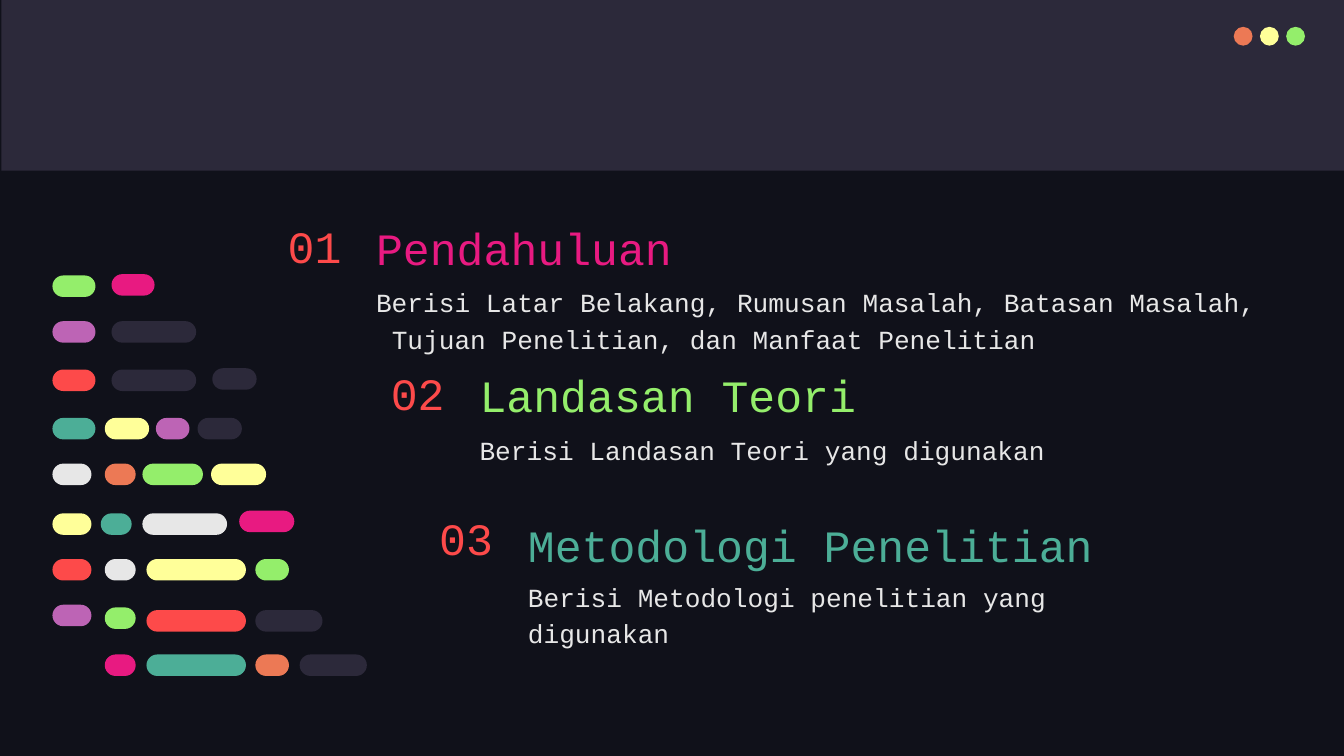
from pptx import Presentation
from pptx.dml.color import RGBColor
from pptx.enum.shapes import MSO_SHAPE
from pptx.enum.text import MSO_ANCHOR, MSO_AUTO_SIZE, PP_ALIGN
from pptx.util import Inches, Pt

HUES = {
    "night": "10111A", "slate": "2C293A", "white": "E7E7E7",
    "orange": "EC7955", "yellow": "FFFF99", "green": "94EE6B",
    "pink": "E81A81", "purple": "BD64B5", "red": "FD4A4A", "teal": "4CAE97",
}

BARS = [
    [(3.9, 20.5, 3.2, "green"), (8.3, 20.4, 3.2, "pink")],
    [(3.9, 23.9, 3.2, "purple"), (8.3, 23.9, 6.3, "slate")],
    [(3.9, 27.5, 3.2, "red"), (8.3, 27.5, 6.3, "slate"),
     (15.8, 27.4, 3.3, "slate")],
    [(3.9, 31.1, 3.2, "teal"), (7.8, 31.1, 3.3, "yellow"),
     (11.6, 31.1, 2.5, "purple"), (14.7, 31.1, 3.3, "slate")],
    [(3.9, 34.5, 2.9, "white"), (7.8, 34.5, 2.3, "orange"),
     (10.6, 34.5, 4.5, "green"), (15.7, 34.5, 4.1, "yellow")],
    [(3.9, 38.2, 2.9, "yellow"), (7.5, 38.2, 2.3, "teal"),
     (10.6, 38.2, 6.3, "white"), (17.8, 38, 4.1, "pink")],
    [(3.9, 41.6, 2.9, "red"), (7.8, 41.6, 2.3, "white"),
     (10.9, 41.6, 7.4, "yellow"), (19, 41.6, 2.5, "green")],
    [(3.9, 45, 2.9, "purple"), (7.8, 45.2, 2.3, "green"),
     (10.9, 45.4, 7.4, "red"), (19, 45.4, 5, "slate")],
    [(7.8, 48.7, 2.3, "pink"), (10.9, 48.7, 7.4, "teal"),
     (19, 48.7, 2.5, "orange"), (22.3, 48.7, 5, "slate")],
]

PARTS = [
    ("01", "Pendahuluan",
     "Berisi Latar Belakang, Rumusan Masalah, Batasan Masalah, "
     "Tujuan Penelitian, dan Manfaat Penelitian",
     27, 16.1, 4.3, 20, 68.4, "pink", 1.17),
    ("02", "Landasan Teori", "Berisi Landasan Teori yang digunakan",
     34.7, 27.1, 4.3, 31, 46, "green", 0),
    ("03", "Metodologi Penelitian",
     "Berisi Metodologi penelitian yang digunakan",
     38.3, 38.2, 3.6, 41.9, 46, "teal", 0),
]


def grid(*cells):
    return [Inches(cell / 10) for cell in cells]


class Deck:
    font = "Courier New"

    def __init__(self):
        self.file = Presentation()
        self.file.slide_width, self.file.slide_height = grid(100, 56.25)
        self.slide = self.file.slides.add_slide(self.file.slide_layouts[5])
        self.paint(self.slide.background.fill, "night")

    def paint(self, fill, hue):
        fill.solid()
        fill.fore_color.rgb = RGBColor.from_string(HUES[hue])

    def group(self):
        return self.slide.shapes.add_group_shape()

    def block(self, home, form, box, hue):
        shape = home.shapes.add_shape(form, *grid(*box))
        shape.shadow.inherit = False
        self.paint(shape.fill, hue)
        shape.line.fill.background()
        return shape

    def pill(self, home, x, y, wide, hue):
        shape = self.block(home, MSO_SHAPE.ROUNDED_RECTANGLE,
                           (x, y, wide, 1.6), hue)
        shape.adjustments[0] = 0.5

    def text(self, words, box, size, hue, anchor, lead=1.15, hang=0,
             shape=None):
        shape = shape or self.slide.shapes.add_textbox(*grid(*box))
        shape.left, shape.top, shape.width, shape.height = grid(*box)
        frame = shape.text_frame
        frame.text = words
        frame.word_wrap = True
        frame.auto_size = MSO_AUTO_SIZE.NONE
        frame.vertical_anchor = anchor
        frame.margin_left = frame.margin_right = Inches(0.1)
        frame.margin_top = frame.margin_bottom = Inches(0.1)
        line = frame.paragraphs[0]
        line.alignment = PP_ALIGN.LEFT
        line.line_spacing = lead
        if hang:
            inset = grid(hang)[0]
            props = line._p.get_or_add_pPr()
            props.set("marL", str(inset))
            props.set("indent", str(-inset))
        font = line.runs[0].font
        font.name, font.size = self.font, Pt(size)
        font.color.rgb = RGBColor.from_string(HUES[hue])


def main():
    deck = Deck()
    deck.block(deck.slide, MSO_SHAPE.RECTANGLE, (0.1, 0, 99.9, 12.7), "slate")

    dots = deck.group()
    for i, hue in enumerate(("orange", "yellow", "green")):
        deck.block(dots, MSO_SHAPE.OVAL, (91.8 + 1.95 * i, 2, 1.4, 1.4), hue)

    title = deck.slide.shapes.title
    for num, head, body, x, y, tall, low, wide, hue, hang in PARTS:
        deck.text(body, (x, low, wide, 6.3), 14, "white", MSO_ANCHOR.TOP,
                  hang=hang)
        deck.text(num, (x - 6.6, y, 6.6, tall), 24, "red", MSO_ANCHOR.MIDDLE,
                  lead=1, shape=title)
        deck.text(head, (x, y, 46, 5.3), 24, hue, MSO_ANCHOR.BOTTOM)
        title = None

    code = deck.group()
    for row in BARS:
        for bar in row:
            deck.pill(code, *bar)

    deck.file.save("out.pptx")


if __name__ == "__main__":
    main()
